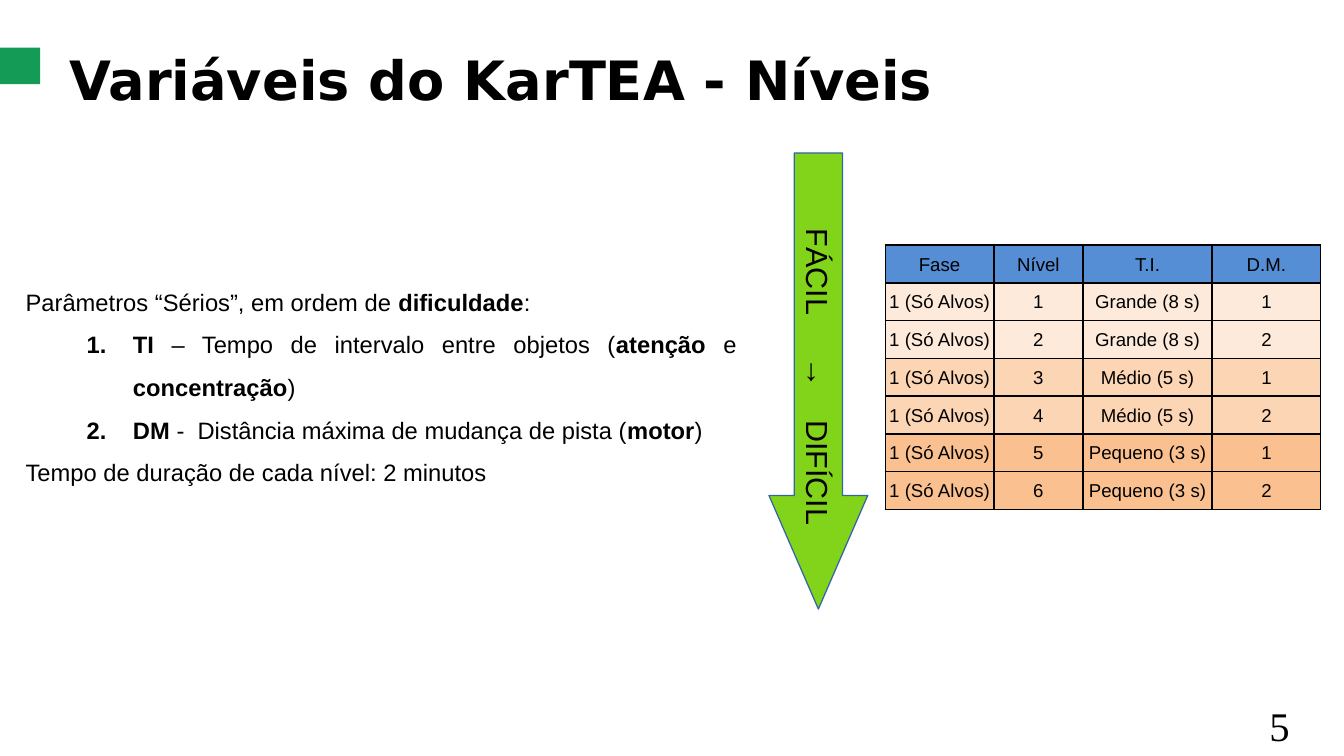
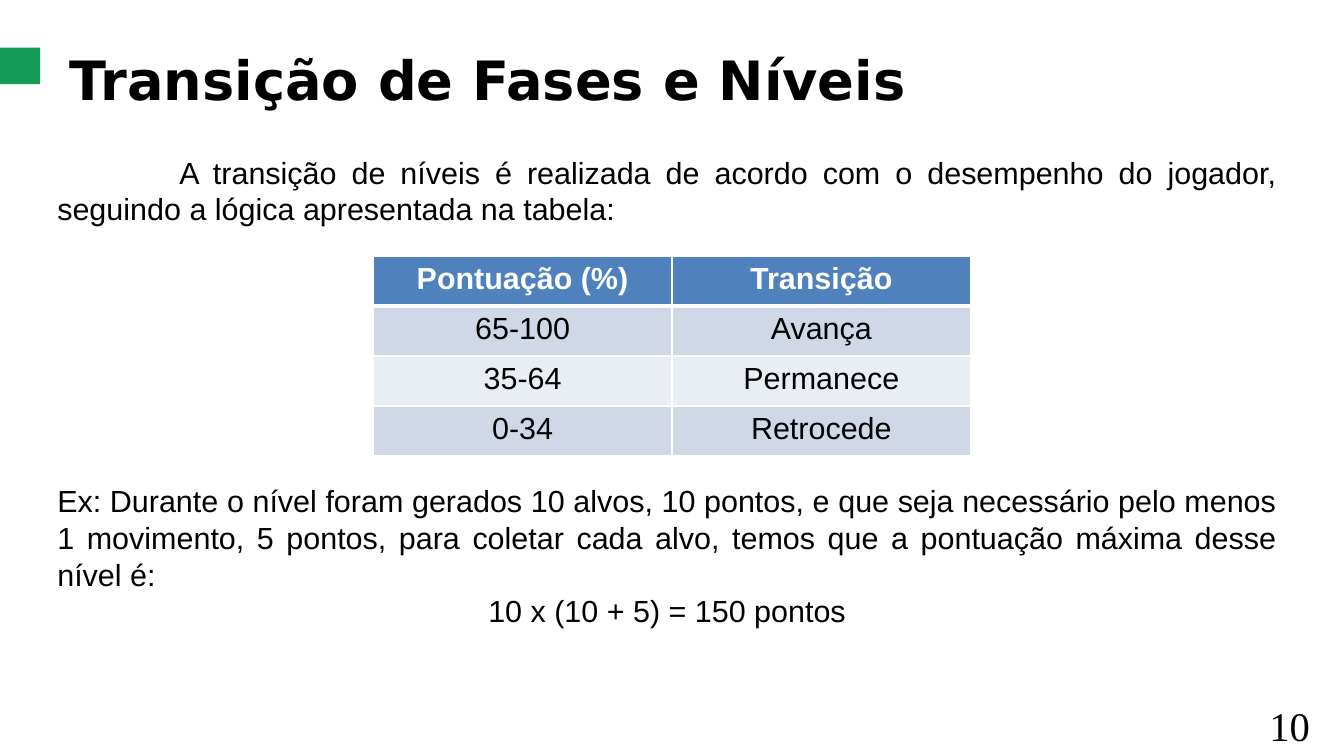
from lxml.etree import SubElement
from pptx import Presentation
from pptx.dml.color import RGBColor
from pptx.enum.shapes import MSO_SHAPE
from pptx.enum.text import MSO_ANCHOR, MSO_AUTO_SIZE, PP_ALIGN
from pptx.oxml.ns import qn
from pptx.util import Inches, Pt

BLACK, WHITE = "000000", "FFFFFF"
ACCENT = "149B55"
TITLE_FONT, BODY_FONT, NUMBER_FONT = "DejaVu Sans", "Arial", "Times New Roman"
TITLE_AND_CONTENT = 1


def rgb(color):
    return RGBColor.from_string(color)


def box(left, top, width, height):
    return [Inches(length) for length in (left, top, width, height)]


def place(shape, left, top, width, height):
    shape.left, shape.top, shape.width, shape.height = box(left, top, width, height)


def set_margins(target, left, top, right, bottom):
    (target.margin_left, target.margin_top,
     target.margin_right, target.margin_bottom) = box(left, top, right, bottom)


def add_run(paragraph, text, size, font=BODY_FONT, color=BLACK, bold=False):
    run = paragraph.add_run()
    run.text = text
    run.font.name = font
    run.font.size = Pt(size)
    run.font.bold = bold
    run.font.color.rgb = rgb(color)


def add_marked_runs(paragraph, text, size):
    """Add runs, taking the parts between asterisks as bold."""
    for index, part in enumerate(text.split("*")):
        if part:
            add_run(paragraph, part, size, bold=index % 2 == 1)


def set_indent(paragraph, left=0, first=0, numbered=False):
    properties = paragraph._p.get_or_add_pPr()
    properties.set("marL", str(Inches(left)))
    properties.set("indent", str(Inches(first)))
    if numbered:
        SubElement(properties, qn("a:buAutoNum"), type="arabicPeriod")
    else:
        SubElement(properties, qn("a:buNone"))


def add_tab_stops(paragraph, *positions):
    stops = SubElement(paragraph._p.get_or_add_pPr(), qn("a:tabLst"))
    for position in positions:
        SubElement(stops, qn("a:tab"), pos=str(Inches(position)), algn="l")


def add_base_slide(deck, title, number):
    """Add a slide with the accent band, the title and the page number."""
    slide = deck.slides.add_slide(deck.slide_layouts[TITLE_AND_CONTENT])

    band = slide.shapes.add_shape(MSO_SHAPE.RECTANGLE, *box(-0.03, 0.39, 0.36, 0.3))
    band.shadow.inherit = False
    band.fill.solid()
    band.fill.fore_color.rgb = rgb(ACCENT)
    band.line.fill.background()

    heading = slide.shapes.title
    place(heading, 0.47, 0.33, 10.52, 0.5)
    frame = heading.text_frame
    frame.auto_size = MSO_AUTO_SIZE.NONE
    frame.vertical_anchor = MSO_ANCHOR.TOP
    frame.paragraphs[0].alignment = PP_ALIGN.LEFT
    add_run(frame.paragraphs[0], title, 32, TITLE_FONT, bold=True)

    page = slide.shapes.add_textbox(*box(10.31, 5.7, 0.71, 0.5)).text_frame
    page.word_wrap = True
    add_run(page.paragraphs[0], number, 24, NUMBER_FONT)
    return slide


def open_body(slide, *bounds):
    body = slide.placeholders[1]
    place(body, *bounds)
    frame = body.text_frame
    frame.auto_size = MSO_AUTO_SIZE.NONE
    set_margins(frame, 0, 0, 0, 0)
    return frame


def add_body_paragraph(frame, text, size, spacing=1.0, before=0,
                       alignment=PP_ALIGN.JUSTIFY, **indent):
    paragraph = frame.paragraphs[0]
    if paragraph.runs:
        paragraph = frame.add_paragraph()
    paragraph.alignment = alignment
    paragraph.line_spacing = spacing
    paragraph.space_before = Pt(before)
    set_indent(paragraph, **indent)
    add_marked_runs(paragraph, text, size)


def set_borders(cell, color, left=1, right=1, top=1, bottom=1):
    properties = cell._tc.get_or_add_tcPr()
    for side, width in zip("LRTB", (left, right, top, bottom)):
        line = SubElement(properties, qn(f"a:ln{side}"), w=str(Pt(width)))
        fill = SubElement(line, qn("a:solidFill"))
        SubElement(fill, qn("a:srgbClr"), val=color)


def add_grid(slide, left, top, widths, row_height, rows, fills, size,
             border, header_color=BLACK, header_bold=False, header_rule=1,
             margins=(0.1, 0.05, 0.1, 0.05), anchor=MSO_ANCHOR.TOP):
    """Add a centred table with one fill for each row."""
    bounds = box(left, top, sum(widths), row_height * len(rows))
    table = slide.shapes.add_table(len(rows), len(widths), *bounds).table
    table.horz_banding = False
    for column, width in zip(table.columns, widths):
        column.width = Inches(width)
    for r, (values, fill) in enumerate(zip(rows, fills)):
        table.rows[r].height = Inches(row_height)
        is_header = r == 0
        for c, value in enumerate(values):
            cell = table.cell(r, c)
            set_margins(cell, *margins)
            cell.vertical_anchor = anchor
            set_borders(cell, border,
                        top=header_rule if r == 1 else 1,
                        bottom=header_rule if is_header else 1)
            cell.fill.solid()
            cell.fill.fore_color.rgb = rgb(fill)
            paragraph = cell.text_frame.paragraphs[0]
            paragraph.alignment = PP_ALIGN.CENTER
            add_run(paragraph, value, size,
                    color=header_color if is_header else BLACK,
                    bold=header_bold and is_header)


def add_difficulty_arrow(slide):
    length, breadth = 3.74, 0.81
    arrow = slide.shapes.add_shape(
        MSO_SHAPE.RIGHT_ARROW, *box(4.84, 2.72, length, breadth))
    arrow.rotation = 90
    arrow.adjustments[0] = 0.49
    arrow.adjustments[1] = 1.15
    arrow.shadow.inherit = False
    arrow.fill.solid()
    arrow.fill.fore_color.rgb = rgb("81D41A")
    arrow.line.color.rgb = rgb("3465A4")
    arrow.line.width = Pt(0.75)
    frame = arrow.text_frame
    frame.word_wrap = True
    frame.vertical_anchor = MSO_ANCHOR.MIDDLE
    set_margins(frame, 0.62, 0, 0, 0)
    label = frame.paragraphs[0]
    label.alignment = PP_ALIGN.LEFT
    add_tab_stops(label, 1.06, 1.57)
    add_run(label, "FÁCIL\t→\tDIFÍCIL", 18)


def add_levels_slide(deck):
    slide = add_base_slide(deck, "Variáveis do KarTEA - Níveis", "5")
    body = open_body(slide, 0.21, 2.24, 5.83, 1.72)
    item = {"left": 0.88, "first": -0.38, "numbered": True}
    for text, indent in (
        ("Parâmetros “Sérios”, em ordem de *dificuldade*:", {}),
        ("*TI* – Tempo de intervalo entre objetos (*atenção* e *concentração*)", item),
        ("*DM *-  Distância máxima de mudança de pista (*motor*)", item),
        ("Tempo de duração de cada nível: 2 minutos", {}),
    ):
        add_body_paragraph(body, text, 14, spacing=1.5, **indent)

    add_difficulty_arrow(slide)

    rows, fills = [("Fase", "Nível", "T.I.", "D.M.")], ["558ED5"]
    intervals = (("Grande (8 s)", "FDEADA"), ("Médio (5 s)", "FCD5B5"),
                 ("Pequeno (3 s)", "FAC090"))
    for interval, fill in intervals:
        for distance in ("1", "2"):
            rows.append(("1 (Só Alvos)", str(len(rows)), interval, distance))
            fills.append(fill)
    add_grid(slide, 7.26, 2.01, (0.89, 0.73, 1.06, 0.89), 0.31, rows, fills, 11,
             border=BLACK, margins=(0.01, 0.01, 0.01, 0), anchor=MSO_ANCHOR.MIDDLE)


def add_transition_slide(deck):
    slide = add_base_slide(deck, "Transição de Fases e Níveis", "10")
    body = open_body(slide, 0.47, 1.26, 10, 3.94)
    add_body_paragraph(
        body, "A transição de níveis é realizada de acordo com o desempenho do "
        "jogador, seguindo a lógica apresentada na tabela:", 18, first=1)
    add_body_paragraph(
        body, "Ex: Durante o nível foram gerados 10 alvos, 10 pontos, e que seja "
        "necessário pelo menos 1 movimento, 5 pontos, para coletar cada alvo, "
        "temos que a pontuação máxima desse nível é:", 18, before=151)
    add_body_paragraph(body, "10 x (10 + 5) = 150 pontos", 18,
                       alignment=PP_ALIGN.CENTER)

    rows = (("Pontuação (%)", "Transição"), ("65-100", "Avança"),
            ("35-64", "Permanece"), ("0-34", "Retrocede"))
    add_grid(slide, 3.06, 2.1, (2.45, 2.45), 0.41, rows,
             ("4F81BD", "D0D8E8", "E9EDF4", "D0D8E8"), 18, border=WHITE,
             header_color=WHITE, header_bold=True, header_rule=3)


def main():
    deck = Presentation()
    deck.slide_width, deck.slide_height = Inches(11.02), Inches(6.2)
    add_levels_slide(deck)
    add_transition_slide(deck)
    deck.save("out.pptx")


if __name__ == "__main__":
    main()
